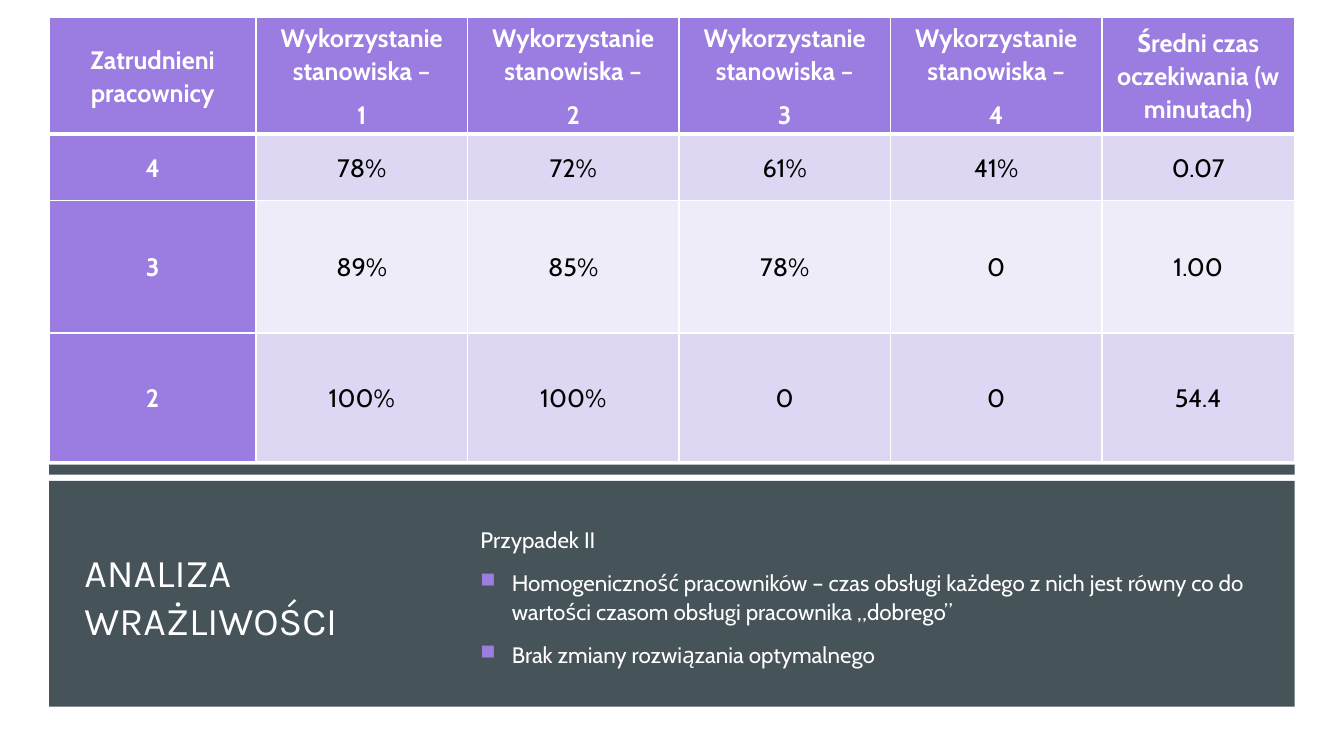
from dataclasses import dataclass

from lxml import etree
from pptx import Presentation
from pptx.dml.color import RGBColor
from pptx.enum.shapes import MSO_SHAPE
from pptx.enum.text import MSO_ANCHOR, PP_ALIGN
from pptx.oxml.ns import qn
from pptx.util import Cm, Pt

RECTANGLE = MSO_SHAPE.RECTANGLE
MIDDLE = MSO_ANCHOR.MIDDLE
CENTER = PP_ALIGN.CENTER


@dataclass(frozen=True)
class Theme:
    backdrop: str = "000000"
    paper: str = "FFFFFF"
    ink: str = "000000"
    panel: str = "465359"
    accent: str = "9B7CE0"
    bands: tuple = ("DED7F3", "EFECF9")
    title_font: str = "Karla"
    body_font: str = "Cabin"
    title_size: int = 28
    table_size: int = 18
    body_size: int = 16


class SlideBuilder:
    def __init__(self, slide, theme):
        self.slide = slide
        self.theme = theme

    def background(self, color):
        fill = self.slide.background.fill
        fill.solid()
        fill.fore_color.rgb = RGBColor.from_string(color)

    def rectangle(self, left, top, width, height, color):
        shape = self.slide.shapes.add_shape(
            RECTANGLE, Cm(left), Cm(top), Cm(width), Cm(height))
        shape.shadow.inherit = False
        shape.fill.solid()
        shape.fill.fore_color.rgb = RGBColor.from_string(color)
        shape.line.fill.background()

    def style_runs(self, paragraph, font_name, size, color, bold=False):
        for run in paragraph.runs:
            run.font.name = font_name
            run.font.size = Pt(size)
            run.font.bold = bold
            run.font.color.rgb = RGBColor.from_string(color)

    def text_box(self, left, top, width, height, text):
        box = self.slide.shapes.add_textbox(Cm(left), Cm(top), Cm(width), Cm(height))
        text_frame = box.text_frame
        text_frame.word_wrap = True
        text_frame.vertical_anchor = MIDDLE
        text_frame.text = text
        return text_frame.paragraphs

    def title(self, left, top, width, height, text):
        for paragraph in self.text_box(left, top, width, height, text):
            self.style_runs(paragraph, self.theme.title_font,
                            self.theme.title_size, self.theme.paper)

    def body(self, left, top, width, height, lead, points):
        """Write a plain lead line followed by bulleted points."""
        text = "\n".join([lead, *points])
        for index, paragraph in enumerate(self.text_box(left, top, width, height, text)):
            paragraph.line_spacing = 1.1
            paragraph.space_before = Pt(0.2 * self.theme.body_size)
            paragraph.space_after = Pt(6)
            self.style_runs(paragraph, self.theme.body_font,
                            self.theme.body_size, self.theme.paper)
            if index:
                self.bullet(paragraph)

    def bullet(self, paragraph):
        properties = paragraph._p.get_or_add_pPr()
        indent = Cm(0.79)
        properties.set("marL", str(indent))
        properties.set("indent", str(-indent))
        color = etree.SubElement(properties, qn("a:buClr"))
        etree.SubElement(color, qn("a:srgbClr"), val=self.theme.accent)
        etree.SubElement(properties, qn("a:buSzPct"), val="92000")
        etree.SubElement(properties, qn("a:buChar"), char="■")

    def table(self, left, top, widths, heights, rows):
        """Fill a table whose first row and first column are headings."""
        frame = self.slide.shapes.add_table(
            len(rows), len(widths), Cm(left), Cm(top), Cm(sum(widths)), Cm(sum(heights)))
        table = frame.table
        for column, width in zip(table.columns, widths):
            column.width = Cm(width)
        for row_index, (height, values) in enumerate(zip(heights, rows)):
            table.rows[row_index].height = Cm(height)
            for column_index, value in enumerate(values):
                heading = row_index == 0 or column_index == 0
                cell = table.cell(row_index, column_index)
                band = self.theme.bands[(row_index - 1) % 2]
                self.cell_text(cell, value, heading)
                cell.fill.solid()
                cell.fill.fore_color.rgb = RGBColor.from_string(
                    self.theme.accent if heading else band)
                self.cell_borders(cell, top=3 if row_index == 1 else 1,
                                  bottom=3 if row_index == 0 else 1)

    def cell_text(self, cell, value, heading):
        cell.margin_left = cell.margin_right = Cm(0.36)
        cell.margin_top = cell.margin_bottom = 0
        cell.vertical_anchor = MIDDLE
        cell.text_frame.text = value
        for paragraph in cell.text_frame.paragraphs:
            paragraph.alignment = CENTER
            paragraph.line_spacing = 1.07
            paragraph.space_after = Pt(8)
            color = self.theme.paper if heading else self.theme.ink
            self.style_runs(paragraph, self.theme.body_font,
                            self.theme.table_size, color, heading)

    def cell_borders(self, cell, top, bottom):
        properties = cell._tc.get_or_add_tcPr()
        borders = (("a:lnL", 1), ("a:lnR", 1), ("a:lnT", top), ("a:lnB", bottom))
        for position, (tag, width) in enumerate(borders):
            line = etree.Element(qn(tag), w=str(Pt(width)))
            fill = etree.SubElement(line, qn("a:solidFill"))
            etree.SubElement(fill, qn("a:srgbClr"), val=self.theme.paper)
            properties.insert(position, line)


def main():
    presentation = Presentation()
    presentation.slide_width = Cm(33.87)
    presentation.slide_height = Cm(19.05)
    slide = presentation.slides.add_slide(presentation.slide_layouts[6])
    theme = Theme()
    builder = SlideBuilder(slide, theme)

    left, width = 1.24, 31.39
    builder.background(theme.backdrop)
    builder.rectangle(0, 0, 33.87, 19.05, theme.paper)
    builder.rectangle(left, 11.71, width, 0.25, theme.panel)
    builder.rectangle(left, 12.12, width, 5.69, theme.panel)

    text_top, text_height = 12.78, 4.47
    builder.title(1.88, text_top, 9.32, text_height, "ANALIZA WRAŻLIWOŚCI")
    builder.body(11.86, text_top, 20.12, text_height, "Przypadek II", [
        "Homogeniczność pracowników – czas obsługi każdego z nich jest równy "
        "co do wartości czasom obsługi pracownika „dobrego”",
        "Brak zmiany rozwiązania optymalnego",
    ])

    stations = [f"Wykorzystanie stanowiska –\n{number}" for number in range(1, 5)]
    builder.table(
        left, 0.43,
        widths=[5.21] + [5.33] * 4 + [4.85],
        heights=[2.95, 1.68, 3.33, 3.23],
        rows=[
            ["Zatrudnieni pracownicy", *stations, "Średni czas oczekiwania (w minutach)"],
            ["4", "78%", "72%", "61%", "41%", "0.07"],
            ["3", "89%", "85%", "78%", "0", "1.00"],
            ["2", "100%", "100%", "0", "0", "54.4"],
        ])
    presentation.save("out.pptx")


if __name__ == "__main__":
    main()
